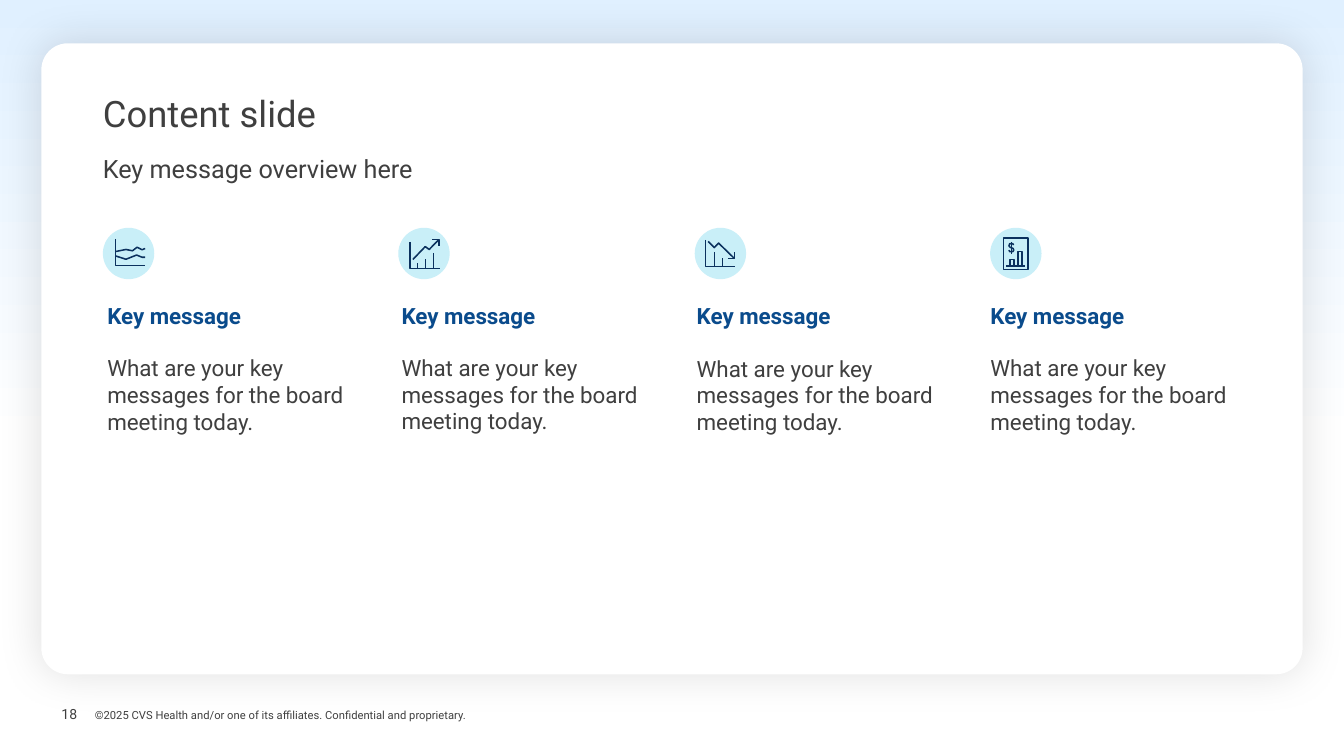
from pptx import Presentation
from pptx.dml.color import RGBColor
from pptx.enum.shapes import MSO_SHAPE
from pptx.enum.text import MSO_ANCHOR, PP_ALIGN
from pptx.oxml import parse_xml
from pptx.oxml.ns import nsdecls
from pptx.util import Pt

PX = 9144
MILLI = PX / 10
FONT = "Roboto"
WHITE = RGBColor(0xFF, 0xFF, 0xFF)
SKY = RGBColor(0xE0, 0xF0, 0xFF)
INK = RGBColor(0x3F, 0x3F, 0x3F)
BLUE = RGBColor(0x0A, 0x4B, 0x8C)
NAVY = RGBColor(0x0B, 0x31, 0x5E)
AQUA = RGBColor(0xC9, 0xEF, 0xF8)

AREA_CHART = [
    [(127, 110), (127, 375), (420, 375)],
    [(130, 235), (230, 215), (295, 228), (340, 193), (390, 218), (420, 205)],
    [(130, 280), (230, 312), (335, 270), (390, 292), (420, 292)],
]
RISING_CHART = [
    [(117, 140), (117, 405), (410, 405)],
    [(190, 350), (190, 405)],
    [(270, 310), (270, 405)],
    [(350, 250), (350, 405)],
    [(145, 315), (268, 187), (308, 215), (400, 120)],
    [(340, 117), (405, 117), (405, 180)],
]
FALLING_CHART = [
    [(107, 120), (107, 385), (400, 385)],
    [(195, 240), (195, 385)],
    [(275, 300), (275, 385)],
    [(135, 135), (195, 197), (238, 152), (395, 305)],
    [(330, 305), (395, 305), (395, 240)],
]
REPORT = [
    [(135, 100), (375, 100), (375, 415), (135, 415), (135, 100)],
    [(160, 377), (350, 377)],
    [(197, 377), (197, 315), (235, 315), (235, 377)],
    [(277, 377), (277, 235), (315, 235), (315, 377)],
    [(233, 172), (225, 158), (195, 158), (187, 180), (200, 195),
     (228, 205), (235, 222), (225, 238), (195, 238), (187, 222)],
    [(211, 140), (211, 260)],
]
MESSAGE = "What are your key messages for the board meeting today."
COLUMNS = [
    ("Key message", MESSAGE, AREA_CHART, 0.057),
    ("Key message", MESSAGE, RISING_CHART, 0.055),
    ("Key message", MESSAGE, FALLING_CHART, 0.065),
    ("Key message", MESSAGE, REPORT, 0.056),
]


def emu(box):
    return [v * PX for v in box]


def add_panel(s, kind, box, color):
    sp = s.shapes.add_shape(kind, *emu(box))
    sp.shadow.inherit = False
    sp.fill.solid()
    sp.fill.fore_color.rgb = color
    sp.line.fill.background()
    return sp


def set_frame(sp, anchor, side=0, edge=0):
    tf = sp.text_frame
    tf.word_wrap = True
    tf.vertical_anchor = anchor
    tf.margin_left = tf.margin_right = side * PX
    tf.margin_top = tf.margin_bottom = edge * PX
    return tf


def add_run(p, text, size, color=INK, bold=False):
    p.alignment = PP_ALIGN.LEFT
    r = p.add_run()
    r.text = text
    r.font.name = FONT
    r.font.size = Pt(size)
    r.font.bold = bold
    r.font.color.rgb = color


def add_text(s, box, text, size, anchor, edge=0):
    sp = s.shapes.add_textbox(*emu(box))
    tf = set_frame(sp, anchor, edge=edge)
    add_run(tf.paragraphs[0], text, size)


def draw_backdrop(s, width):
    sky = add_panel(s, MSO_SHAPE.RECTANGLE, (0, 0, width, 440), WHITE)
    sky.fill.gradient()
    sky.fill.gradient_angle = 270
    for stop, color, position in zip(sky.fill.gradient_stops, (SKY, WHITE), (0, 1)):
        stop.color.rgb = color
        stop.position = position
    card = add_panel(s, MSO_SHAPE.ROUNDED_RECTANGLE, (41, 43, 1251, 626), WHITE)
    card.adjustments[0] = 0.042
    effects = card.element.spPr.find(
        "{http://schemas.openxmlformats.org/drawingml/2006/main}effectLst")
    effects.append(parse_xml(
        f'<a:outerShdw {nsdecls("a")} blurRad="{Pt(31)}" dist="0" algn="ctr" rotWithShape="0">'
        '<a:srgbClr val="000000"><a:alpha val="12000"/></a:srgbClr></a:outerShdw>'))
    return card


def draw_heading(s, card, left, top, width):
    title = s.shapes.title
    card.element.addnext(title.element)
    title.left, title.top, title.width, title.height = emu((left, top, width, 49))
    p = set_frame(title, MSO_ANCHOR.TOP).paragraphs[0]
    p.line_spacing = 0.9
    add_run(p, "Content slide", 26)
    add_text(s, (left, top + 57, width, 105), "Key message overview here", 18, MSO_ANCHOR.TOP)


def draw_icon(s, left, top, strokes):
    add_panel(s, MSO_SHAPE.OVAL, (left, top, 51, 51), AQUA)
    fb = s.shapes.build_freeform(*strokes[0][0], scale=MILLI)
    for i, stroke in enumerate(strokes):
        if i:
            fb.move_to(*stroke[0])
        fb.add_line_segments(stroke[1:], close=False)
    sp = fb.convert_to_shape(left * PX, top * PX)
    sp.shadow.inherit = False
    sp.fill.background()
    sp.line.color.rgb = NAVY
    sp.line.width = Pt(1.1)


def draw_message(s, box, heading, body, corner):
    sp = add_panel(s, MSO_SHAPE.ROUNDED_RECTANGLE, box, WHITE)
    sp.adjustments[0] = corner
    tf = set_frame(sp, MSO_ANCHOR.TOP, 10, 10)
    add_run(tf.paragraphs[0], heading, 16, BLUE, True)
    p = tf.add_paragraph()
    p.space_before = Pt(18)
    add_run(p, body, 16)


def draw_columns(s, left, top):
    for i, (heading, body, strokes, corner) in enumerate(COLUMNS):
        draw_message(s, (left + 292 * i, top + 59, 274, 345), heading, body, corner)
        draw_icon(s, left + 10 + round(i * 880 / 3), top, strokes)


def draw_footer(s, left, top):
    add_text(s, (left, top, 39, 25), "18", 10, MSO_ANCHOR.MIDDLE, 5)
    add_text(s, (left + 33, top + 7, 880, 13),
             "©2025 CVS Health and/or one of its affiliates. Confidential and proprietary.",
             8, MSO_ANCHOR.BOTTOM)


def main():
    prs = Presentation()
    prs.slide_width, prs.slide_height = emu((1333, 750))
    s = prs.slides.add_slide(prs.slide_layouts[5])
    card = draw_backdrop(s, 1333)
    draw_heading(s, card, 102, 95, 926)
    draw_columns(s, 92, 226)
    draw_footer(s, 61, 696)
    prs.save("out.pptx")


if __name__ == "__main__":
    main()
